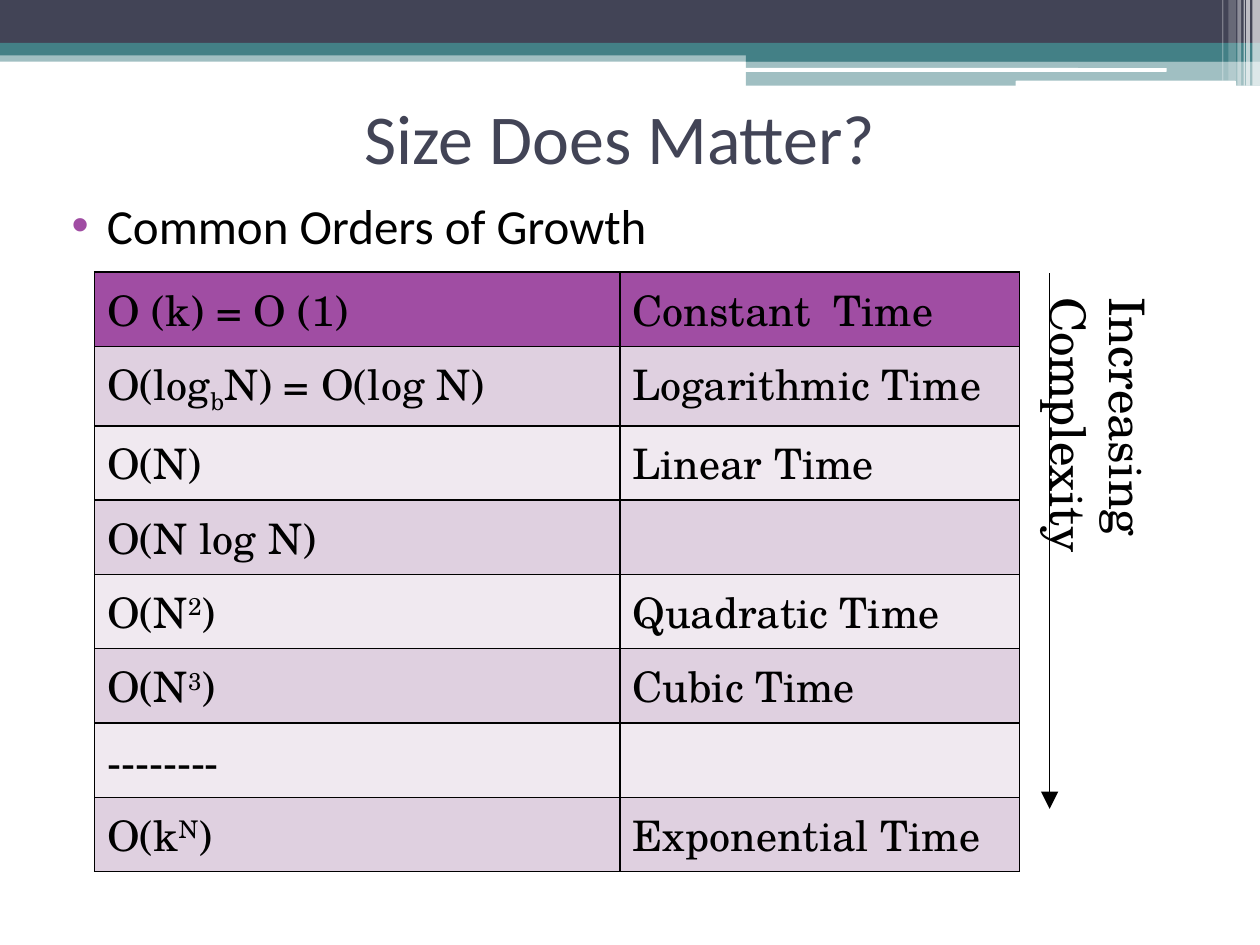
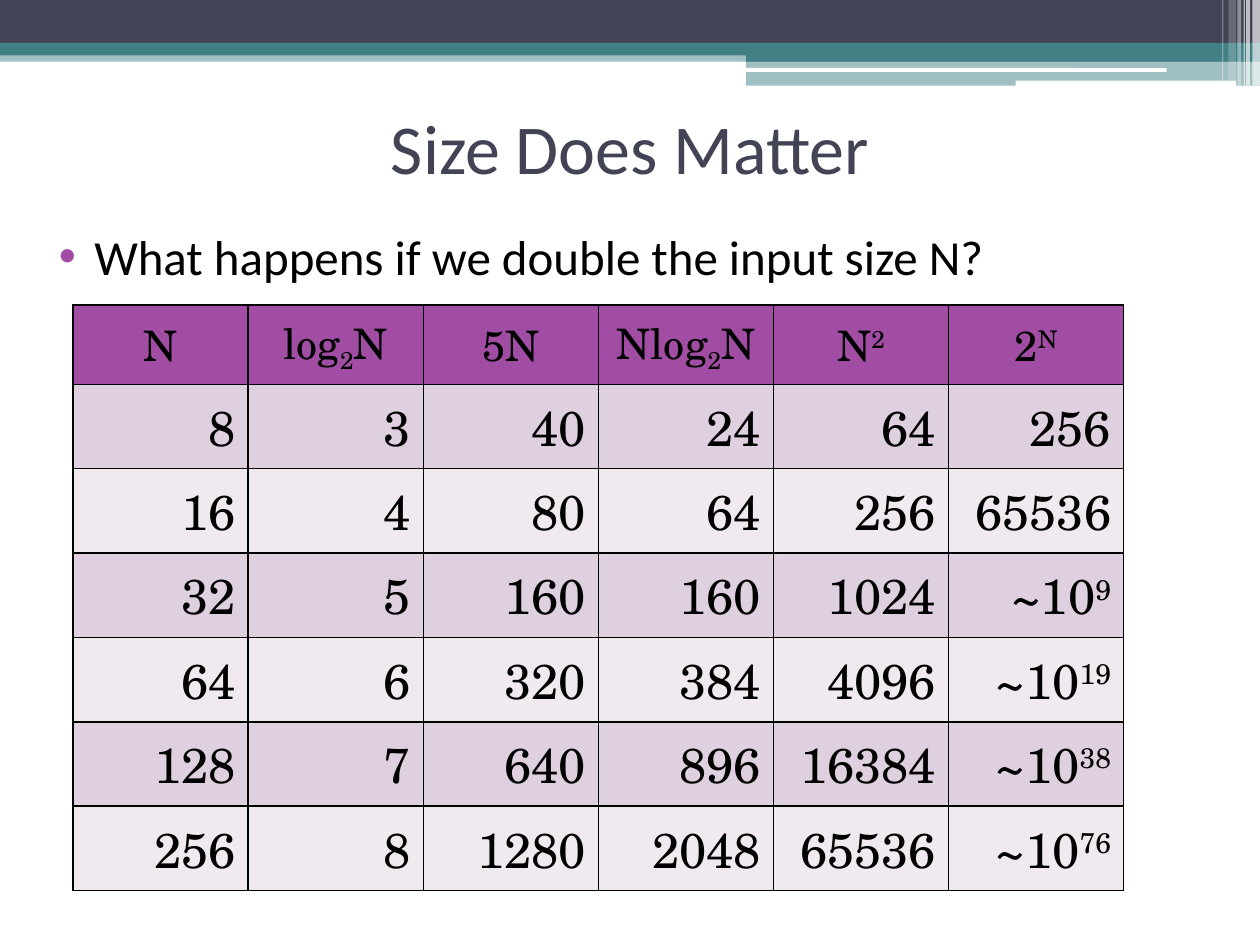
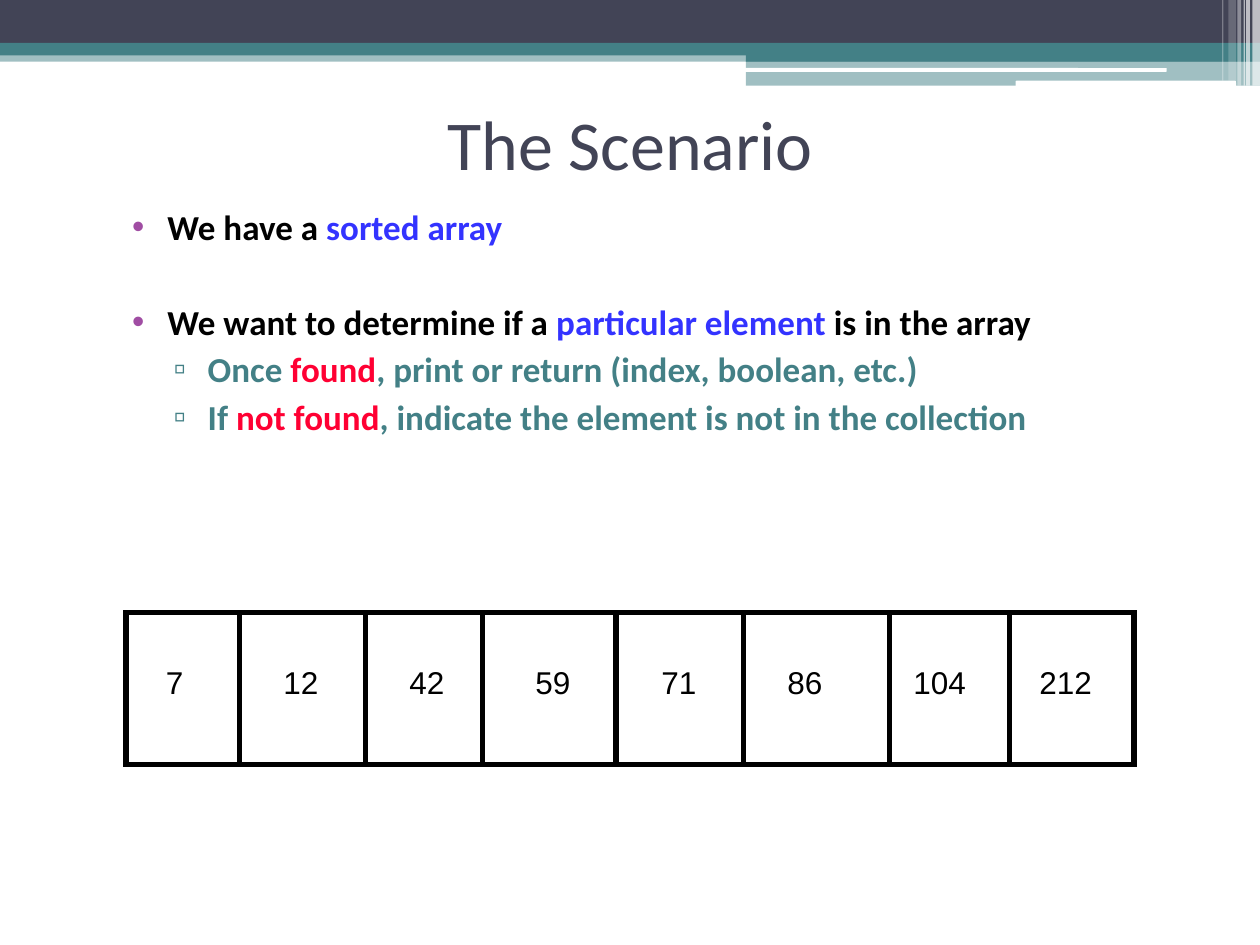
"""Build three slides on orders of growth and searching a sorted array."""
from lxml import etree
from pptx import Presentation
from pptx.dml.color import RGBColor
from pptx.enum import shapes, text
from pptx.oxml import ns
from pptx.util import Inches, Pt

NAVY, TEAL, PURPLE = "424456", "438086", "A04DA3"
BLACK, WHITE, BLUE, RED = "000000", "FFFFFF", "3333FF", "FF0033"
ROW_FILLS = ("F0E9F0", "DFD0E0")
SANS, SERIF, PLAIN = "Calibri", "TeX Gyre Schola", "Arial"
RECT = shapes.MSO_SHAPE.RECTANGLE
ROUNDED = shapes.MSO_SHAPE.ROUNDED_RECTANGLE
CENTER, RIGHT, LEFT = text.PP_ALIGN.CENTER, text.PP_ALIGN.RIGHT, text.PP_ALIGN.LEFT
TOP, MIDDLE = text.MSO_ANCHOR.TOP, text.MSO_ANCHOR.MIDDLE

BANDS = [
    (RECT, (0, 0.4, 10, 0.09), TEAL, 50),
    (RECT, (0, 0, 10, 0.34), NAVY, 100),
    (RECT, (0, 0.34, 10, 0.1), TEAL, 100),
    (RECT, (5.92, 0.39, 4.08, 0.1), TEAL, 100),
    (RECT, (5.92, 0.48, 4.08, 0.2), TEAL, 50),
    (ROUNDED, (5.91, 0.54, 3.35, 0.03), WHITE, 100),
    (ROUNDED, (8.06, 0.64, 1.75, 0.05), WHITE, 100),
    (RECT, (9.94, 0, 0.06, 0.68), WHITE, 65),
    (RECT, (9.89, 0, 0.03, 0.68), WHITE, 65),
    (RECT, (9.87, 0, 0.01, 0.68), WHITE, 60),
    (RECT, (9.82, 0, 0.03, 0.68), WHITE, 40),
    (RECT, (9.75, 0, 0.06, 0.64), WHITE, 20),
    (RECT, (9.7, 0, 0.01, 0.64), WHITE, 30),
]

GROWTH_ORDERS = [
    ("O (k) = O (1)", "Constant  Time"),
    ("O(log|_b|N) = O(log N)", "Logarithmic Time"),
    ("O(N)", "Linear Time"),
    ("O(N log N)", ""),
    ("O(N|^2|)", "Quadratic Time"),
    ("O(N|^3|)", "Cubic Time"),
    ("--------", ""),
    ("O(k|^N|)", "Exponential Time"),
]

DOUBLING = [
    ("N", "log|_2|N", "5N", "Nlog|_2|N", "N|^2", "2|^N"),
    ("8", "3", "40", "24", "64", "256"),
    ("16", "4", "80", "64", "256", "65536"),
    ("32", "5", "160", "160", "1024", "~10|^9"),
    ("64", "6", "320", "384", "4096", "~10|^19"),
    ("128", "7", "640", "896", "16384", "~10|^38"),
    ("256", "8", "1280", "2048", "65536", "~10|^76"),
]

SCENARIO = [
    (0, 0, [("We have a ", BLACK), ("sorted array", BLUE)]),
    (0, 30.5, [("We want to determine if a ", BLACK), ("particular element", BLUE),
               (" is in the array", BLACK)]),
    (1, 3, [("Once ", TEAL), ("found", RED),
            (", print or return (index, boolean, etc.)", TEAL)]),
    (1, 3, [("If ", TEAL), ("not found", RED),
            (", indicate the element is not in the collection", TEAL)]),
]

BULLETS = [("•", PURPLE, 0.4, -0.28), ("▫", TEAL, 0.72, -0.27)]
ARRAY_VALUES = (7, 12, 42, 59, 71, 86, 104, 212)
ARRAY_DIVIDERS = (1.9, 2.9, 3.83, 4.89, 5.9, 7.06, 8.01)


def rgb(value):
    """Turn a hex string into a colour."""
    return RGBColor.from_string(value)


def inches(numbers):
    """Turn plain numbers into lengths."""
    return [Inches(number) for number in numbers]


def child(parent, tag, **attributes):
    """Append a DrawingML element to a parent."""
    return etree.SubElement(parent, ns.qn("a:" + tag), **attributes)


def set_font(font, face, size, color=None, bold=None):
    """Set face, size, colour and weight of a font."""
    font.name, font.size, font.bold = face, Pt(size), bold
    if color:
        font.color.rgb = rgb(color)


def add_bands(deck, page):
    """Draw the header bands and move them to the slide master."""
    for number, (kind, place, color, opacity) in enumerate(BANDS, 100):
        band = page.shapes.add_shape(kind, *inches(place))
        band.shadow.inherit = False
        band.fill.solid()
        band.fill.fore_color.rgb = rgb(color)
        band.line.fill.background()
        if opacity < 100:
            tint = band.element.xpath("./p:spPr/a:solidFill/a:srgbClr")[0]
            child(tint, "alpha", val=str(opacity * 1000))
        band.element.xpath("./p:nvSpPr/p:cNvPr")[0].set("id", str(number))
        deck.slide_master.shapes.element.append(band.element)


def add_page(deck, heading, place):
    """Add a title-only slide with a centred title."""
    page = deck.slides.add_slide(deck.slide_layouts[5])
    title = page.shapes.title
    title.left, title.top, title.width, title.height = inches(place)
    title.text_frame.text = heading
    title.text_frame.vertical_anchor = MIDDLE
    para = title.text_frame.paragraphs[0]
    para.alignment = CENTER
    set_font(para.font, SANS, 40, NAVY)
    return page


def add_text(holder, place, words, face, size, wrap=True, tabs=0):
    """Add a black one-paragraph text box with tab stops an inch apart."""
    box = holder.add_textbox(*inches(place))
    box.text_frame.word_wrap = wrap
    para = box.text_frame.paragraphs[0]
    para.text = words
    if tabs:
        stops = child(para._p.get_or_add_pPr(), "tabLst")
        for number in range(1, tabs + 1):
            child(stops, "tab", pos=str(Inches(number)), algn="l")
    set_font(para.font, face, size, BLACK)
    return box


def add_bullets(page, place, items, size, bold=None):
    """Add bulleted paragraphs made of coloured runs."""
    frame = page.shapes.add_textbox(*inches(place)).text_frame
    frame.word_wrap = True
    for index, (level, gap, spans) in enumerate(items):
        para = frame.add_paragraph() if index else frame.paragraphs[0]
        sign, color, margin, indent = BULLETS[level]
        para.level = level
        props = para._p.get_or_add_pPr()
        props.set("marL", str(Inches(margin)))
        props.set("indent", str(Inches(indent)))
        child(child(props, "buClr"), "srgbClr", val=color)
        child(props, "buFont", typeface=PLAIN)
        child(props, "buChar", char=sign)
        para.space_before = Pt(gap)
        set_font(para.font, SANS, size, bold=bold)
        for words, span_color in spans:
            span = para.add_run()
            span.text = words
            span.font.color.rgb = rgb(span_color)


def add_formula(para, formula):
    """Add runs, lowering parts marked _ and raising parts marked ^."""
    for part in formula.split("|"):
        span = para.add_run()
        span.text = part.lstrip("_^")
        if part[0] in "_^":
            offset = "-25000" if part[0] == "_" else "30000"
            span.font._element.set("baseline", offset)


def add_borders(cell):
    """Give a cell thin black borders."""
    props = cell._tc.get_or_add_tcPr()
    for side in ("lnL", "lnR", "lnT", "lnB"):
        border = child(props, side, w=str(Pt(1)))
        child(child(border, "solidFill"), "srgbClr", val=BLACK)


def add_grid(page, corner, widths, heights, rows, head, body, anchor):
    """Add a table; head and body give text size and alignment."""
    size = inches((sum(widths), sum(heights)))
    table = page.shapes.add_table(len(rows), len(widths), *inches(corner), *size).table
    table.first_row = table.horz_banding = False
    for column, width in zip(table.columns, widths):
        column.width = Inches(width)
    for index, (row, height, formulas) in enumerate(zip(table.rows, heights, rows)):
        row.height = Inches(height)
        points, alignment = body if index else head
        for cell, formula in zip(row.cells, formulas):
            add_borders(cell)
            cell.fill.solid()
            cell.fill.fore_color.rgb = rgb(ROW_FILLS[index % 2] if index else PURPLE)
            cell.vertical_anchor = anchor
            para = cell.text_frame.paragraphs[0]
            para.alignment = alignment
            set_font(para.font, SERIF, points, BLACK)
            if formula:
                add_formula(para, formula)


def add_line(holder, start, end, width, arrow=False):
    """Add a straight black line, with an arrowhead if wanted."""
    line = holder.add_connector(shapes.MSO_CONNECTOR.STRAIGHT, *inches(start + end))
    line.line.color.rgb = rgb(BLACK)
    line.line.width = Pt(width)
    if arrow:
        child(line.line._get_or_add_ln(), "tailEnd", type="triangle", w="lg", len="lg")
    child(line.element.spPr, "effectLst")


def add_array(page):
    """Draw the sorted array as a divided box with its values."""
    top, height = 4.86, 1.21
    group = page.shapes.add_group_shape().shapes
    frame = group.add_shape(RECT, *inches((1, top, 8, height)))
    frame.shadow.inherit = False
    frame.fill.background()
    frame.line.color.rgb = rgb(BLACK)
    frame.line.width = Pt(3)
    child(frame.line._get_or_add_ln(), "miter", lim="800000")
    for x in ARRAY_DIVIDERS:
        add_line(group, (x, top), (x, top + height), 3)
    values = " " + "\t".join(map(str, ARRAY_VALUES))
    add_text(group, (1.15, 5.21, 7.76, 0.5), values, PLAIN, 18,
             wrap=False, tabs=len(ARRAY_VALUES) - 1)


def main():
    """Build and save the deck."""
    deck = Presentation()
    deck.slide_width, deck.slide_height = inches((10, 7.5))

    orders = add_page(deck, "Size Does Matter?", (0.42, 0.5, 9, 1.17))
    add_bands(deck, orders)
    add_bullets(orders, (0.35, 1.5, 8.92, 0.92),
                [(0, 0, [("Common Orders of Growth", BLACK)])], 28)
    add_grid(orders, (0.75, 2.16), (4.17, 3.17), [0.59, 0.63] + [0.59] * 6,
             GROWTH_ORDERS, (24, LEFT), (24, LEFT), TOP)
    add_line(orders.shapes, (8.33, 2.17), (8.33, 6.42), 0.75, arrow=True)
    label = add_text(orders.shapes, (6.92, 4.01, 4.07, 0.57),
                     "Increasing Complexity", SERIF, 28)
    label.rotation = 90

    doubling = add_page(deck, "Size Does Matter", (0.5, 0.58, 9, 1.17))
    add_bullets(doubling, (0.25, 1.75, 9.33, 1),
                [(0, 0, [("What happens if we double the input size N?", BLACK)])], 28)
    add_grid(doubling, (0.58, 2.42), [1.39] * 6, [0.63] + [0.67] * 6, DOUBLING,
             (24, CENTER), (28, RIGHT), MIDDLE)

    scenario = add_page(deck, "The Scenario", (0.75, 0.67, 8.5, 0.92))
    add_bullets(scenario, (0.83, 1.58, 8.75, 3.08), SCENARIO, 20, bold=True)
    add_array(scenario)

    deck.save("out.pptx")


if __name__ == "__main__":
    main()
